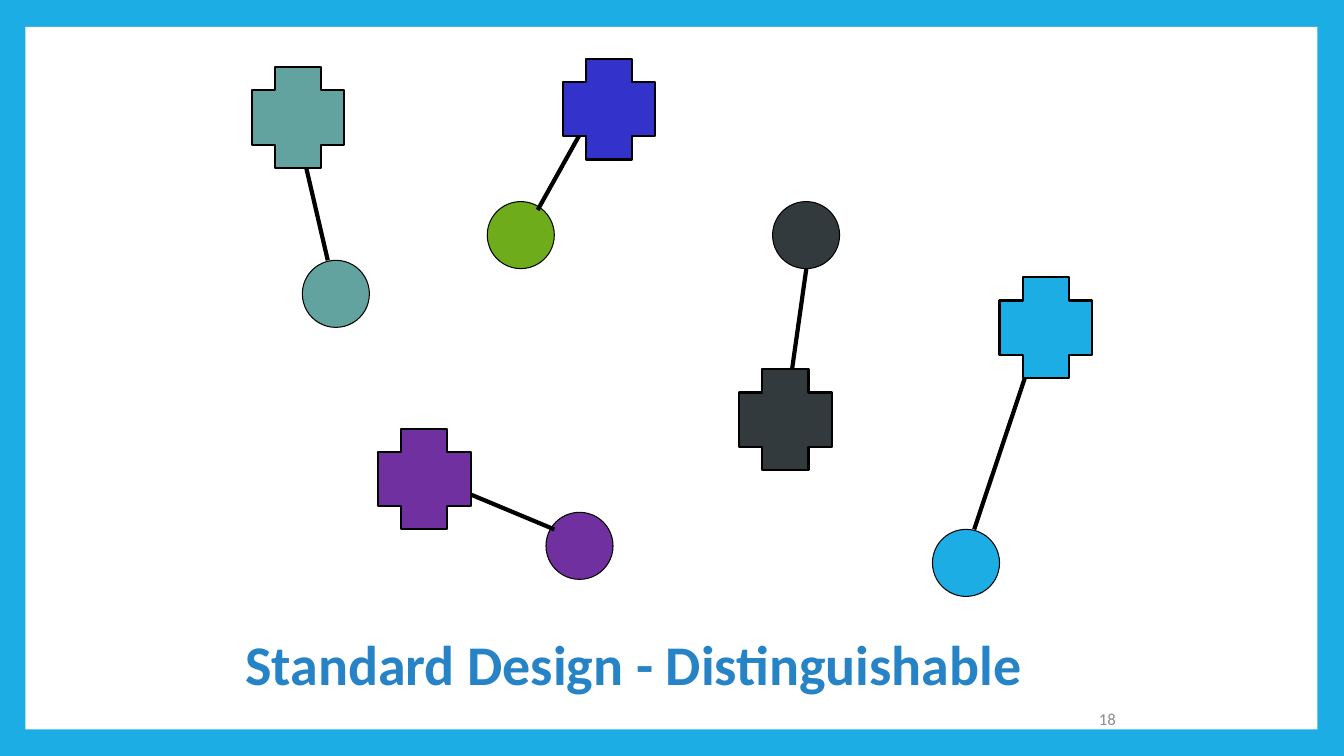
from dataclasses import dataclass

from lxml import etree
from pptx import Presentation
from pptx.dml.color import RGBColor
from pptx.enum.shapes import MSO_CONNECTOR, MSO_SHAPE
from pptx.enum.text import MSO_ANCHOR, PP_ALIGN
from pptx.oxml.ns import qn
from pptx.util import Cm, Pt

RECT, DISC, PLUS = MSO_SHAPE.RECTANGLE, MSO_SHAPE.OVAL, MSO_SHAPE.CROSS
LINE = MSO_CONNECTOR.STRAIGHT
MIDDLE = MSO_ANCHOR.MIDDLE
LEFT, RIGHT = PP_ALIGN.LEFT, PP_ALIGN.RIGHT

COLORS = {
    "sky": "1CADE4", "white": "FFFFFF", "black": "000000",
    "green": "6EAC1C", "slate": "333A3E", "purple": "7030A0",
    "teal": "62A39F", "indigo": "3333CC", "title": "2683C6", "gray": "8C8C8C",
}
# Width, height and outline weight of each marker
SIZES = {DISC: (1.69, 1.69, 0.75), PLUS: (2.33, 2.54, 1.5)}


@dataclass
class Mark:
    kind: int
    left: float
    top: float
    color: str


@dataclass
class Link:
    x1: float
    y1: float
    x2: float
    y2: float


@dataclass
class Label:
    text: str
    box: tuple[float, float, float, float]
    align: int
    color: str
    font: dict


DISCS = [
    Mark(DISC, 12.28, 5.08, "green"),
    Mark(DISC, 19.47, 5.08, "slate"),
    Mark(DISC, 13.76, 12.91, "purple"),
    Mark(DISC, 7.62, 6.56, "teal"),
    Mark(DISC, 23.5, 13.34, "sky"),
]
LINKS = [
    Link(26.04, 8.89, 24.55, 13.34),
    Link(11.43, 12.28, 13.97, 13.34),
    Link(20.32, 6.77, 19.9, 9.74),
    Link(14.61, 3.39, 13.55, 5.29),
    Link(7.62, 3.81, 8.26, 6.56),
]
CROSSES = [
    Mark(PLUS, 6.35, 1.69, "teal"),
    Mark(PLUS, 25.19, 6.99, "sky"),
    Mark(PLUS, 18.63, 9.31, "slate"),
    Mark(PLUS, 14.18, 1.48, "indigo"),
    Mark(PLUS, 9.53, 10.8, "purple"),
]
LABELS = [
    Label("Standard Design - Distinguishable", (5.93, 15.24, 21.59, 3.18), LEFT,
          "title", {"name": "Calibri", "size": Pt(40), "bold": True}),
    Label("18", (22.44, 17.65, 5.93, 1.01), RIGHT,
          "gray", {"name": "Calibri", "size": Pt(12)}),
]


def rgb(name: str) -> RGBColor:
    return RGBColor.from_string(COLORS[name])


def paint(fill, name: str) -> None:
    fill.solid()
    fill.fore_color.rgb = rgb(name)


def add_panel(slide) -> None:
    panel = slide.shapes.add_shape(RECT, Cm(0.64), Cm(0.68), Cm(32.56), Cm(17.7))
    panel.shadow.inherit = False
    paint(panel.fill, "white")
    panel.line.fill.background()


def add_mark(slide, mark: Mark) -> None:
    width, height, weight = SIZES[mark.kind]
    shape = slide.shapes.add_shape(
        mark.kind, Cm(mark.left), Cm(mark.top), Cm(width), Cm(height))
    shape.shadow.inherit = False
    paint(shape.fill, mark.color)
    shape.line.color.rgb = rgb("black")
    shape.line.width = Pt(weight)


def add_link(slide, link: Link) -> None:
    line = slide.shapes.add_connector(
        LINE, Cm(link.x1), Cm(link.y1), Cm(link.x2), Cm(link.y2))
    line.line.color.rgb = rgb("black")
    line.line.width = Pt(3)
    etree.SubElement(line._element.spPr, qn("a:effectLst"))


def add_label(slide, label: Label) -> None:
    frame = slide.shapes.add_textbox(*map(Cm, label.box)).text_frame
    frame.word_wrap = True
    frame.vertical_anchor = MIDDLE
    para = frame.paragraphs[0]
    para.alignment = label.align
    para.line_spacing = 0.9
    run = para.add_run()
    run.text = label.text
    for key, value in label.font.items():
        setattr(run.font, key, value)
    run.font.color.rgb = rgb(label.color)


def main() -> None:
    deck = Presentation()
    deck.slide_width, deck.slide_height = Cm(33.87), Cm(19.05)
    slide = deck.slides.add_slide(deck.slide_layouts[6])

    # Blue frame around a white panel
    paint(slide.background.fill, "sky")
    add_panel(slide)

    # Discs, then links, then the crosses that cover the link ends
    for disc in DISCS:
        add_mark(slide, disc)
    for link in LINKS:
        add_link(slide, link)
    for cross in CROSSES:
        add_mark(slide, cross)

    # Title and page number
    for label in LABELS:
        add_label(slide, label)

    deck.save("out.pptx")


if __name__ == "__main__":
    main()
